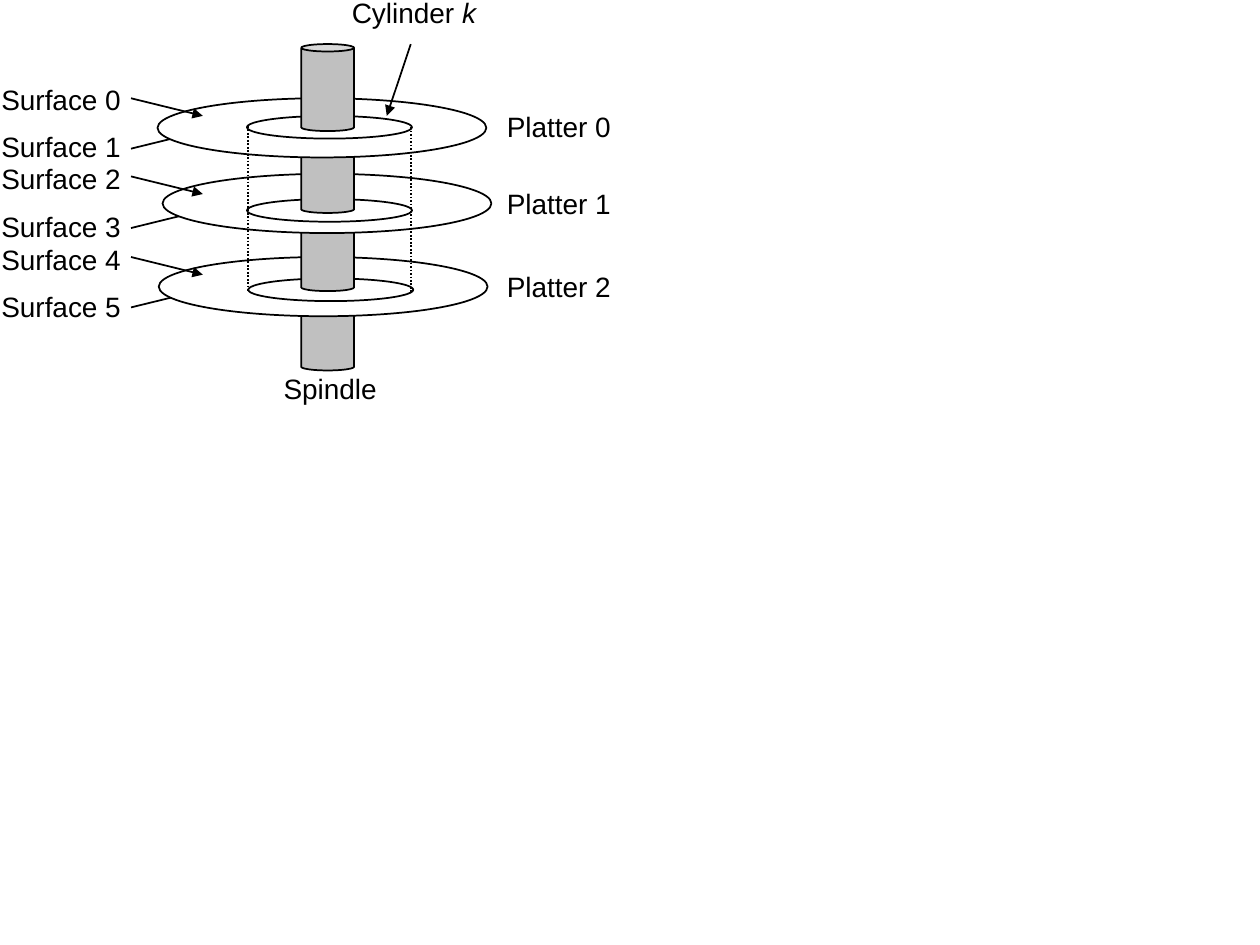
from lxml.etree import SubElement
from pptx import Presentation
from pptx.dml.color import RGBColor
from pptx.enum.dml import MSO_LINE
from pptx.enum.shapes import MSO_CONNECTOR, MSO_SHAPE
from pptx.enum.text import MSO_ANCHOR, MSO_AUTO_SIZE, PP_ALIGN
from pptx.oxml.ns import qn
from pptx.util import Pt

PX = 9144  # 100 px to the inch
BLACK, GREY, WHITE = "000000", "C0C0C0", "FFFFFF"

deck = Presentation()
deck.slide_width, deck.slide_height = 1000 * PX, 750 * PX
slide = deck.slides.add_slide(deck.slide_layouts[6])
shapes = slide.shapes


def color(code):
    return RGBColor.from_string(code)


def write(text, x, y, w, h=37, size=16, font="Arial", tail=""):
    box = shapes.add_textbox(x * PX, y * PX, w * PX, h * PX)
    frame = box.text_frame
    frame.word_wrap = False
    frame.auto_size = MSO_AUTO_SIZE.SHAPE_TO_FIT_TEXT
    frame.vertical_anchor = MSO_ANCHOR.MIDDLE
    para = frame.paragraphs[0]
    para.alignment = PP_ALIGN.CENTER
    for part, slant in ((text, None), (tail, True)):
        if part:
            run = para.add_run()
            run.text = part
            run.font.name, run.font.size = font, Pt(size)
            run.font.italic = slant
            run.font.color.rgb = color(BLACK)


# Line ends; surfaces are numbered from the top, two to a platter
ups = [((104, y), (161, y + 14)) for y in (78, 140, 204)]
downs = [((104, y), (161, y - 14)) for y in (118, 181, 244)]
pointer = ((326, 35), (307, 92))
walls = [((197, 100), (197, 231)), ((326, 101), (326, 232))]

# Parts from back to front: lower arrows, disk stack from the bottom, upper lines
parts = [("arrow", ends) for ends in downs]
parts.append(("can", (239, 225, 42, 69)))
stack = [
    ((126, 204), (197, 221), 162),
    ((129, 138), (196, 158), 100),
    ((125, 78), (196, 92), 35),
]
for platter, ring, top in stack:
    parts.append(("platter", (*platter, 261, 47)))
    parts.append(("ring", (*ring, 131, 18)))
    parts.append(("can", (239, top, 42, 69)))
parts += [("arrow", ends) for ends in ups + [pointer]]
parts += [("dots", ends) for ends in walls]

for kind, place in parts:
    if kind in ("arrow", "dots"):
        (x1, y1), (x2, y2) = place
        item = shapes.add_connector(
            MSO_CONNECTOR.STRAIGHT, x1 * PX, y1 * PX, x2 * PX, y2 * PX)
    else:
        form = MSO_SHAPE.CAN if kind == "can" else MSO_SHAPE.OVAL
        item = shapes.add_shape(form, *(n * PX for n in place))
        item.shadow.inherit = False
        if kind == "ring":
            item.fill.background()
        else:
            item.fill.solid()
            item.fill.fore_color.rgb = color(GREY if kind == "can" else WHITE)
        if kind == "can":
            item.adjustments[0] = 0.14
    item.line.color.rgb = color(BLACK)
    item.line.width = Pt(1)
    if kind == "dots":
        item.line.dash_style = MSO_LINE.ROUND_DOT
    if kind in ("arrow", "dots"):
        props = item._element.spPr
        if kind == "arrow":
            SubElement(props.find(qn("a:ln")), qn("a:tailEnd"), type="triangle")
        SubElement(props, qn("a:effectLst"))

# Labels
for i, y in enumerate((60, 98, 123, 161, 187, 225)):
    write(f"Surface {i}", -9, y, 115)
for i, y in enumerate((82, 143, 209)):
    write(f"Platter {i}", 392, y, 103)
write("Cylinder ", 269, -9, 119, tail="k")
write("Spindle", 215, 290, 94)

deck.save("out.pptx")
